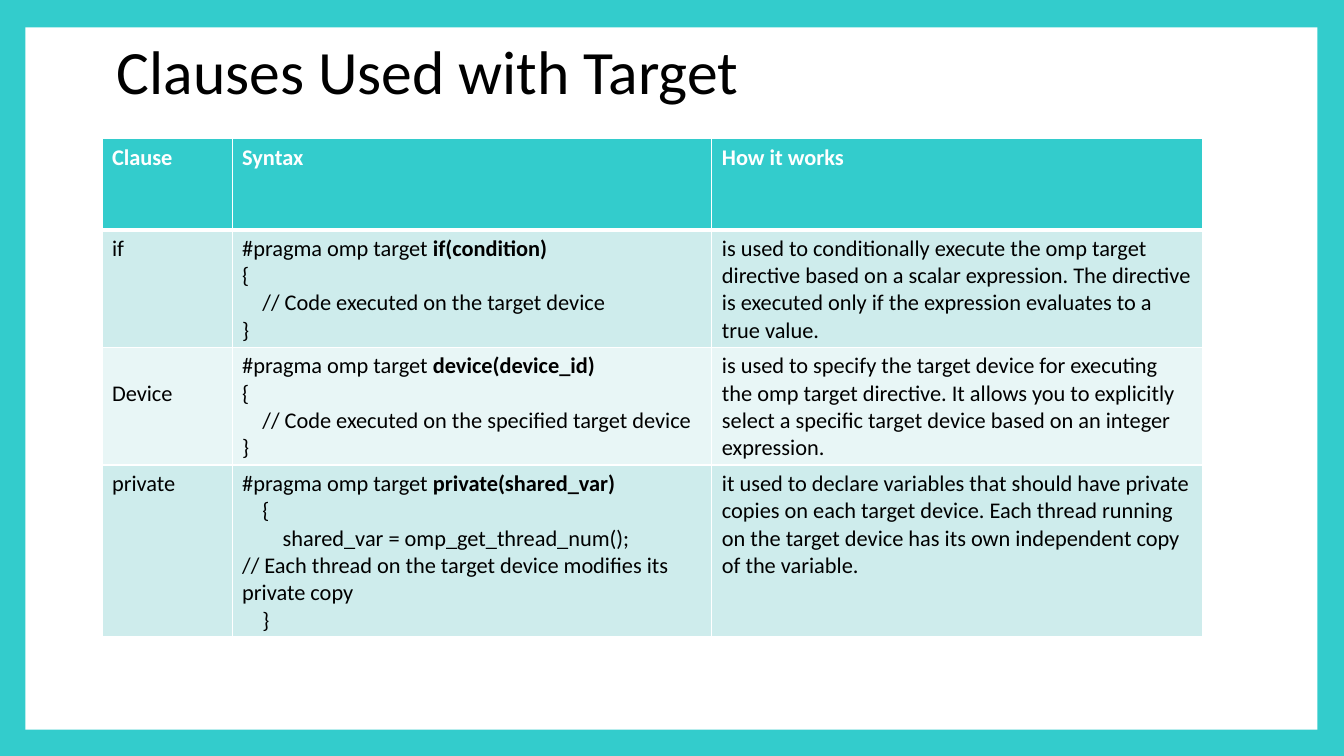
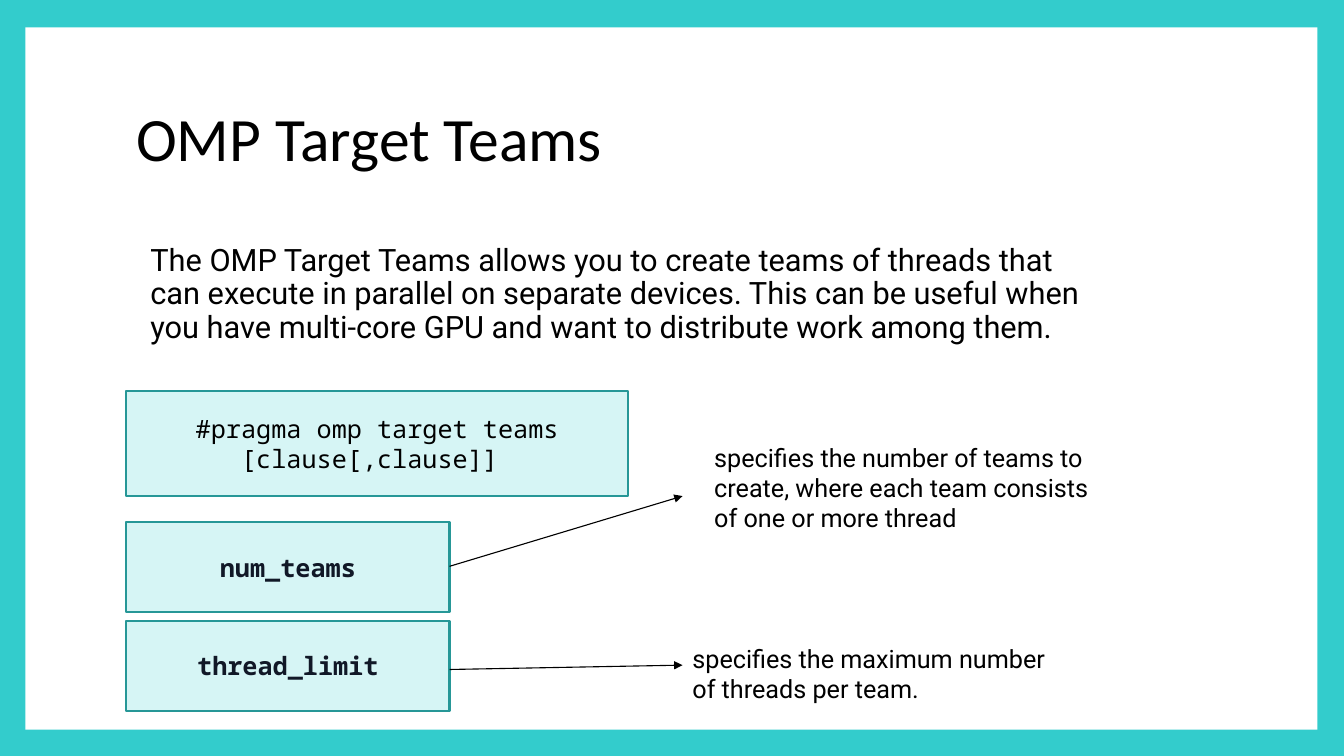
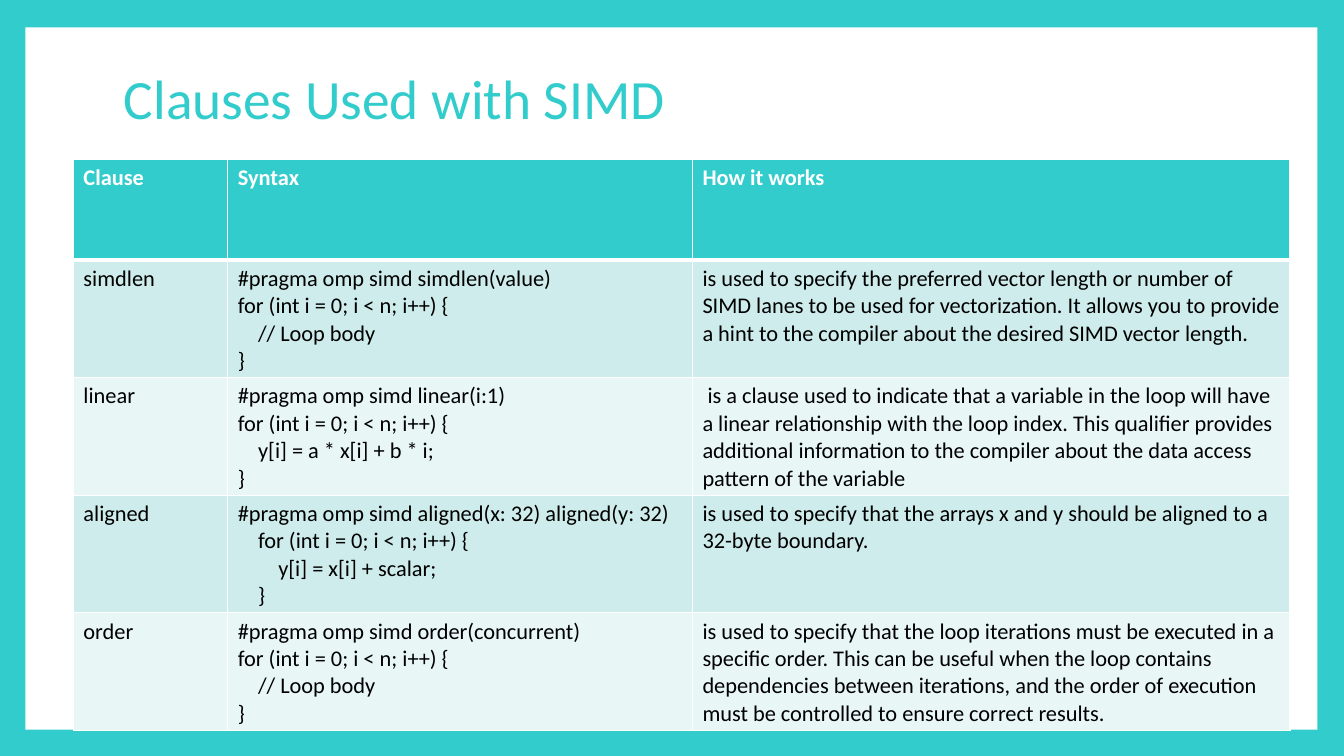
from lxml import etree
from pptx import Presentation
from pptx.dml.color import RGBColor
from pptx.enum import shapes, text
from pptx.oxml import ns
from pptx.util import Cm, Pt

HUES = {
    "teal": "33CCCC", "white": "FFFFFF", "black": "000000", "ink": "111827",
    "pale": "D6F5F5", "edge": "269797", "odd": "CEECEC", "even": "E8F6F6",
}
SANS, MONO, BODY = "Calibri", "Noto Sans Mono", "Roboto"
HEADS = ["Clause", "Syntax", "How it works"]
STEP = 0.51  # cm of indent for each tab in code
LINE = 0.69  # cm, height of one line in a table
PAD = 0.13  # cm, usual inset at the top of a cell

TARGET = [
    ["if",
     "#pragma omp target **if(condition)**\n{\n"
     "\t// Code executed on the target device\n}",
     "is used to conditionally execute the omp target directive based on a "
     "scalar expression. The directive is executed only if the expression "
     "evaluates to a true value."],
    ["Device",
     "#pragma omp target **device(device_id)**\n{\n"
     "\t// Code executed on the specified target device\n}",
     "is used to specify the target device for executing the omp target "
     "directive. It allows you to explicitly select a specific target device "
     "based on an integer expression."],
    ["private",
     "#pragma omp target **private(shared_var)**\n\t{\n"
     "\t\tshared_var = omp_get_thread_num();\n"
     "// Each thread on the target device modifies its private copy\n\t}",
     "it used to declare variables that should have private copies on each "
     "target device. Each thread running on the target device has its own "
     "independent copy of the variable."],
]
SIMD = [
    ["simdlen",
     "#pragma omp simd simdlen(value)\nfor (int i = 0; i < n; i++) {\n"
     "\t// Loop body\n}",
     "is used to specify the preferred vector length or number of SIMD lanes "
     "to be used for vectorization. It allows you to provide a hint to the "
     "compiler about the desired SIMD vector length."],
    ["linear",
     "#pragma omp simd linear(i:1)\nfor (int i = 0; i < n; i++) {\n"
     "\ty[i] = a * x[i] + b * i;\n}",
     " is a clause used to indicate that a variable in the loop will have a "
     "linear relationship with the loop index. This qualifier provides "
     "additional information to the compiler about the data access pattern "
     "of the variable"],
    ["aligned",
     "#pragma omp simd aligned(x: 32) aligned(y: 32)\n"
     "\tfor (int i = 0; i < n; i++) {\n\t\ty[i] = x[i] + scalar;\n\t}",
     "is used to specify that the arrays x and y should be aligned to a "
     "32-byte boundary."],
    ["order",
     "#pragma omp simd order(concurrent)\nfor (int i = 0; i < n; i++) {\n"
     "\t// Loop body\n}",
     "is used to specify that the loop iterations must be executed in a "
     "specific order. This can be useful when the loop contains dependencies "
     "between iterations, and the order of execution must be controlled to "
     "ensure correct results."],
]


def hue(name):
    return RGBColor.from_string(HUES[name])


def paint(shape, name):
    shape.fill.solid()
    shape.fill.fore_color.rgb = hue(name)


def style(run, face, size, tint, bold=False):
    font = run.font
    font.name, font.size, font.bold = face, Pt(size), bold
    font.color.rgb = hue(tint)


# Text
def write(frame, words, face, size, tint, bold=False):
    """Tabs indent a line; double stars switch bold on and off."""
    frame.word_wrap = True
    for i, line in enumerate(words.split("\n")):
        para = frame.add_paragraph() if i else frame.paragraphs[0]
        bare = line.lstrip("\t")
        if bare != line:
            indent(para, STEP * (len(line) - len(bare)))
        for j, part in enumerate(bare.split("**")):
            if part:
                run = para.add_run()
                run.text = part
                style(run, face, size, tint, bold or j % 2 == 1)


def indent(para, width):
    props = para._p.get_or_add_pPr()
    props.set("marL", str(Cm(width)))
    props.set("indent", "0")


def label(slide, box, words, face, size, tint):
    frame = slide.shapes.add_textbox(*map(Cm, box)).text_frame
    write(frame, words, face, size, tint)
    return frame


# Base of every slide: teal ground, white panel, title
def start(deck, title, box, size=44, tint="black"):
    slide = deck.slides.add_slide(deck.slide_layouts[6])
    paint(slide.background, "teal")
    panel(slide, (0.64, 0.69, 32.56, 17.7), "white")
    frame = label(slide, box, title, SANS, size, tint)
    frame.vertical_anchor = text.MSO_ANCHOR.MIDDLE
    frame.paragraphs[0].line_spacing = 0.9
    return slide


# Shapes
def panel(slide, box, fill, edge=None):
    rect = slide.shapes.add_shape(shapes.MSO_SHAPE.RECTANGLE, *map(Cm, box))
    rect.shadow.inherit = False
    paint(rect, fill)
    if edge:
        rect.line.color.rgb = hue(edge)
        rect.line.width = Pt(1.5)
    else:
        rect.line.fill.background()
    return rect


def code(slide, box, words, tint, bold=False):
    frame = panel(slide, box, "pale", "edge").text_frame
    write(frame, words, MONO, 18, tint, bold)
    frame.vertical_anchor = text.MSO_ANCHOR.MIDDLE
    frame.paragraphs[0].alignment = text.PP_ALIGN.CENTER


def arrow(slide, *ends):
    link = slide.shapes.add_connector(
        shapes.MSO_CONNECTOR.STRAIGHT, *map(Cm, ends))
    link.line.color.rgb = hue("black")
    link.line.width = Pt(0.79)
    etree.SubElement(link.line._get_or_add_ln(), ns.qn("a:tailEnd"),
                     type="triangle")
    etree.SubElement(link._element.spPr, ns.qn("a:effectLst"))


# Tables
def border(cell, **sides):
    props = cell._tc.get_or_add_tcPr()
    for side in "LRTB":
        line = etree.SubElement(props, ns.qn("a:ln" + side),
                                w=str(Pt(sides.get(side, 1))))
        fill = etree.SubElement(line, ns.qn("a:solidFill"))
        etree.SubElement(fill, ns.qn("a:srgbClr"), val=HUES["white"])


def grid(slide, left, top, widths, height, rows):
    rows = [HEADS] + rows
    table = slide.shapes.add_table(
        len(rows), len(widths), Cm(left), Cm(top),
        Cm(sum(widths)), Cm(height * len(rows))).table
    for col, width in zip(table.columns, widths):
        col.width = Cm(width)
    for r, row in enumerate(rows):
        table.rows[r].height = Cm(height)
        for c, words in enumerate(row):
            cell = table.cell(r, c)
            border(cell, T=3 if r == 1 else 1, B=1 if r else 3)
            paint(cell, ("odd" if r % 2 else "even") if r else "teal")
            write(cell.text_frame, words, SANS, 16,
                  "black" if r else "white", bold=r == 0)
    return table


# Slides
def target(deck):
    slide = start(deck, "Clauses Used with Target", (2.69, 0, 27.43, 3.76))
    table = grid(slide, 2.57, 3.5, (3.28, 12.09, 12.37), 2.29, TARGET)
    table.cell(2, 0).margin_top = Cm(PAD + LINE)


def teams(deck):
    slide = start(deck, "OMP Target Teams", (3.18, 1.7, 27.43, 3.76))
    frame = label(
        slide, (3.66, 5.74, 23.57, 3.38),
        "The OMP Target Teams allows you to create teams of threads that can "
        "execute in parallel on separate devices. This can be useful when you "
        "have multi-core GPU and want to distribute work among them.",
        BODY, 22, "black")
    frame.margin_left = frame.margin_right = 0
    frame.margin_top = frame.margin_bottom = 0
    frame.vertical_anchor = text.MSO_ANCHOR.MIDDLE
    frame.paragraphs[0].line_spacing = 0.9
    indent(frame.paragraphs[0], 0.13)

    code(slide, (3.18, 9.86, 12.65, 2.64),
         "#pragma omp target teams [clause[,clause]] ", "black")
    for top, name in ((13.16, "num_teams"), (15.65, "thread_limit")):
        code(slide, (3.18, top, 8.15, 2.26), name, "ink", True)
    arrow(slide, 11.33, 14.27, 17.2, 12.5)
    arrow(slide, 11.33, 16.87, 17.2, 16.76)
    label(slide, (17.75, 11.02, 10.06, 2.57),
          "specifies the number of teams to create, where each team consists "
          "of one or more thread", BODY, 18, "black")
    label(slide, (17.2, 16.08, 10.06, 1.8),
          "specifies the maximum number of threads per team.",
          BODY, 18, "black")


def simd(deck):
    slide = start(deck, "Clauses Used with SIMD", (2.87, 1.7, 27.74, 1.73),
                  39.6, "teal")
    grid(slide, 1.85, 4.01, (3.89, 11.71, 15.06), 2.54, SIMD)


def main():
    deck = Presentation()
    deck.slide_width, deck.slide_height = Cm(33.87), Cm(19.05)
    target(deck)
    teams(deck)
    simd(deck)
    deck.save("out.pptx")


if __name__ == "__main__":
    main()
